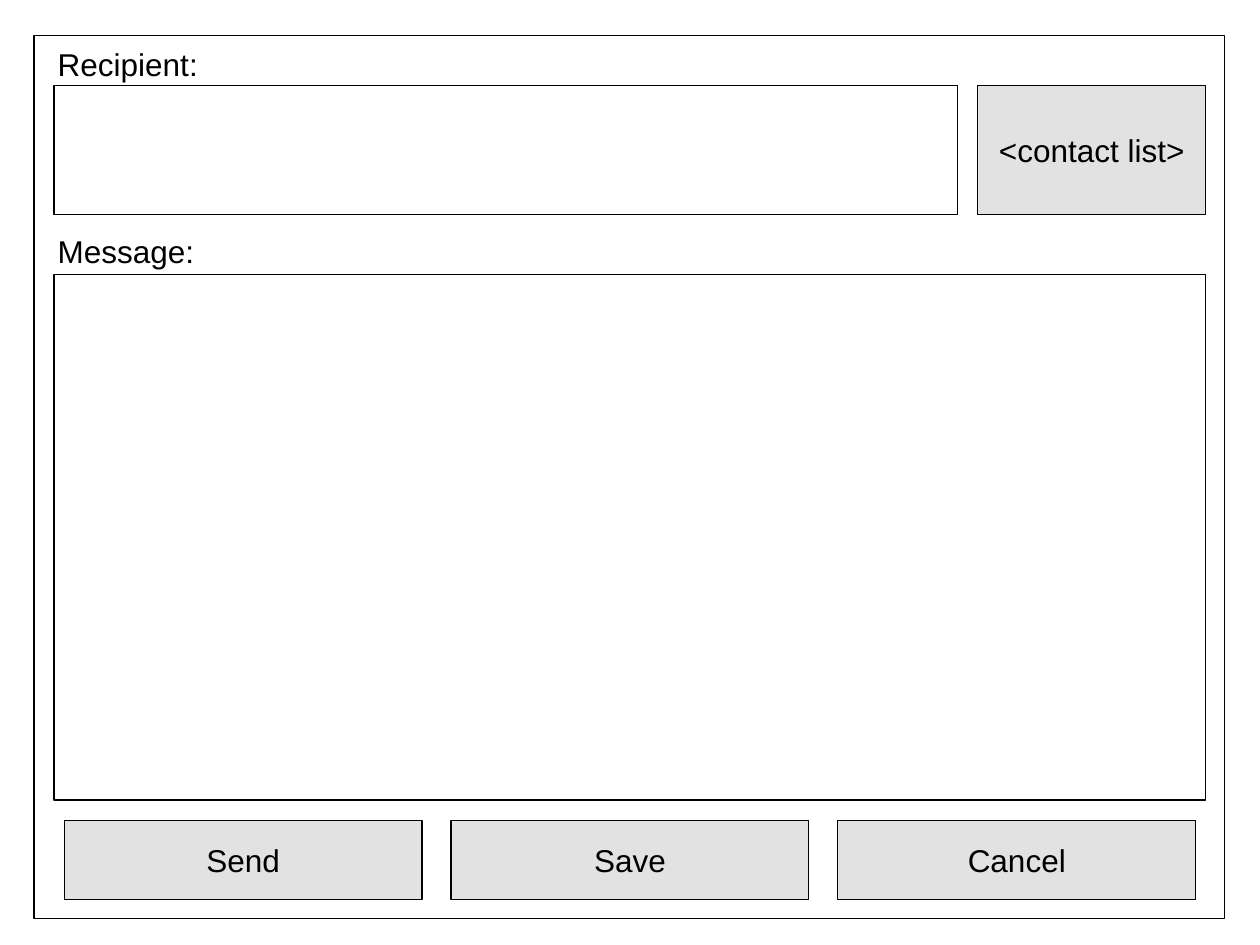
import pptx
import pptx.dml.color
import pptx.enum.shapes
import pptx.enum.text
import pptx.util
from pptx.util import Inches

BLACK = "000000"
BUTTON_GREY = "E2E2E2"


def colour(hex_string):
    """Turn a hex string into a colour."""
    return pptx.dml.color.RGBColor.from_string(hex_string)


def write_text(shape, text, size=18, font="Arial", ink=BLACK, align="LEFT", anchor="TOP"):
    """Write one line of formatted text into a shape."""
    frame = shape.text_frame
    frame.word_wrap = False
    frame.vertical_anchor = getattr(pptx.enum.text.MSO_ANCHOR, anchor)
    para = frame.paragraphs[0]
    para.alignment = getattr(pptx.enum.text.PP_ALIGN, align)
    span = para.add_run()
    span.text = text
    span.font.size = pptx.util.Pt(size)
    span.font.name = font
    span.font.color.rgb = colour(ink)


def add_box(page, left, top, width, height, fill=None):
    """Add an outlined rectangle, hollow unless a fill is given."""
    box = page.shapes.add_shape(
        pptx.enum.shapes.MSO_SHAPE.RECTANGLE, left, top, width, height)
    box.shadow.inherit = False
    box.line.color.rgb = colour(BLACK)
    box.line.width = pptx.util.Pt(0.75)
    if fill:
        box.fill.solid()
        box.fill.fore_color.rgb = colour(fill)
    else:
        box.fill.background()
    return box


def add_button(page, text, left, top, width, height):
    """Add a grey button with a centred caption."""
    button = add_box(page, left, top, width, height, fill=BUTTON_GREY)
    write_text(button, text, align="CENTER", anchor="MIDDLE")


def add_label(page, text, left, top):
    """Add a field label that grows to fit its text."""
    label = page.shapes.add_textbox(left, top, Inches(1.31), Inches(0.4))
    write_text(label, text)
    label.text_frame.auto_size = pptx.enum.text.MSO_AUTO_SIZE.SHAPE_TO_FIT_TEXT


def add_recipient(page, left, top, width, height):
    """Place the recipient label, field and contact list button."""
    button_width = Inches(1.81)
    field_width = width - button_width - Inches(0.16)
    add_box(page, left, top, field_width, height)
    add_button(page, "<contact list>", left + width - button_width, top, button_width, height)
    add_label(page, "Recipient:", left - Inches(0.07), top - Inches(0.37))


def add_message(page, left, top, width, height):
    """Place the message label and field."""
    add_box(page, left, top, width, height)
    add_label(page, "Message:", left - Inches(0.07), top - Inches(0.39))


def add_actions(page, left, top, width, height):
    """Place the action buttons in equal columns."""
    captions = ["Send", "Save", "Cancel"]
    gap = Inches(0.23)
    button_width = (width - gap * (len(captions) - 1)) // len(captions)
    for column, caption in enumerate(captions):
        add_button(page, caption, left + column * (button_width + gap), top,
                   button_width, height)


def add_form(page, left, top, width, height):
    """Place the message form and its three regions."""
    margin = Inches(0.16)
    inner_left = left + margin
    inner_width = width - Inches(0.31)
    add_box(page, left, top, width, height)
    add_recipient(page, inner_left, top + Inches(0.4), inner_width, Inches(1.02))
    add_message(page, inner_left, top + Inches(1.9), inner_width, Inches(4.17))
    add_actions(page, inner_left + Inches(0.08), top + Inches(6.23),
                inner_width - margin, Inches(0.63))


def main():
    """Build and save the deck."""
    deck = pptx.Presentation()
    deck.slide_width = Inches(10)
    deck.slide_height = Inches(7.5)
    page = deck.slides.add_slide(deck.slide_layouts[6])
    add_form(page, Inches(0.27), Inches(0.28), Inches(9.45), Inches(7.01))
    deck.save("out.pptx")


if __name__ == "__main__":
    main()
